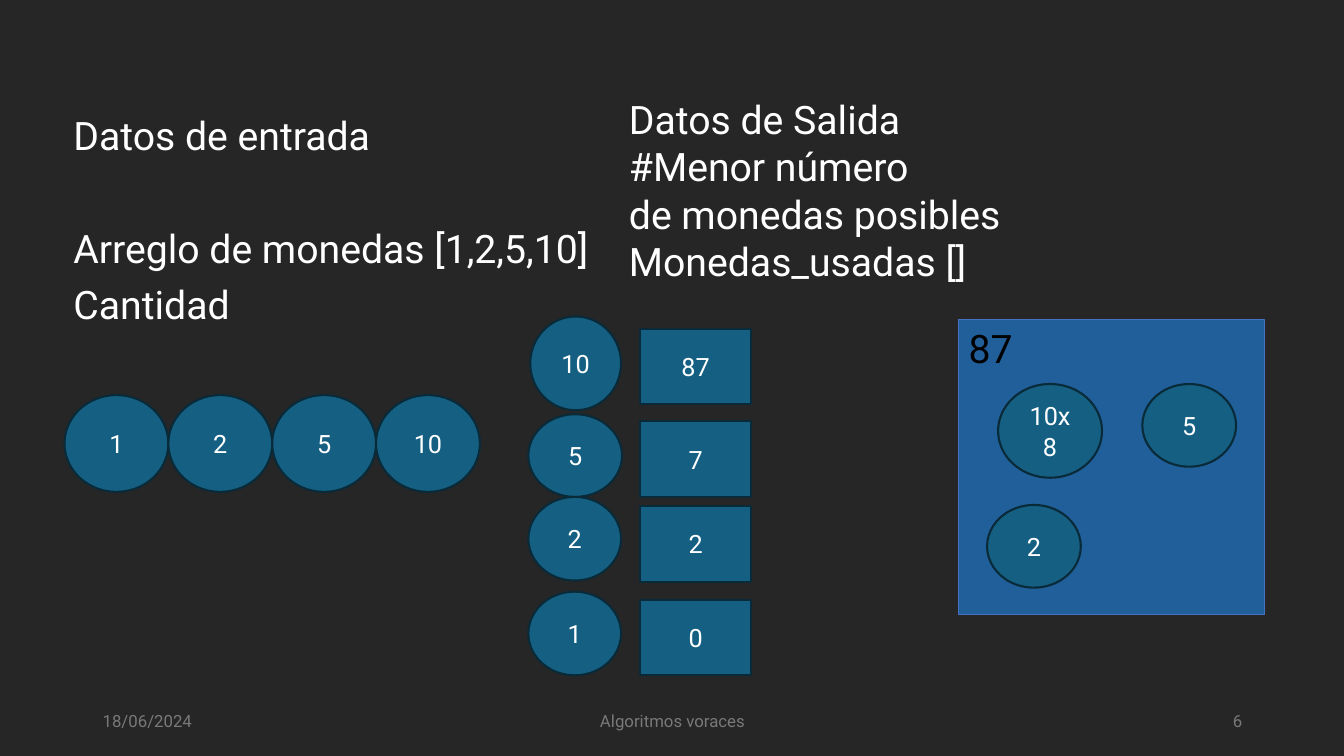
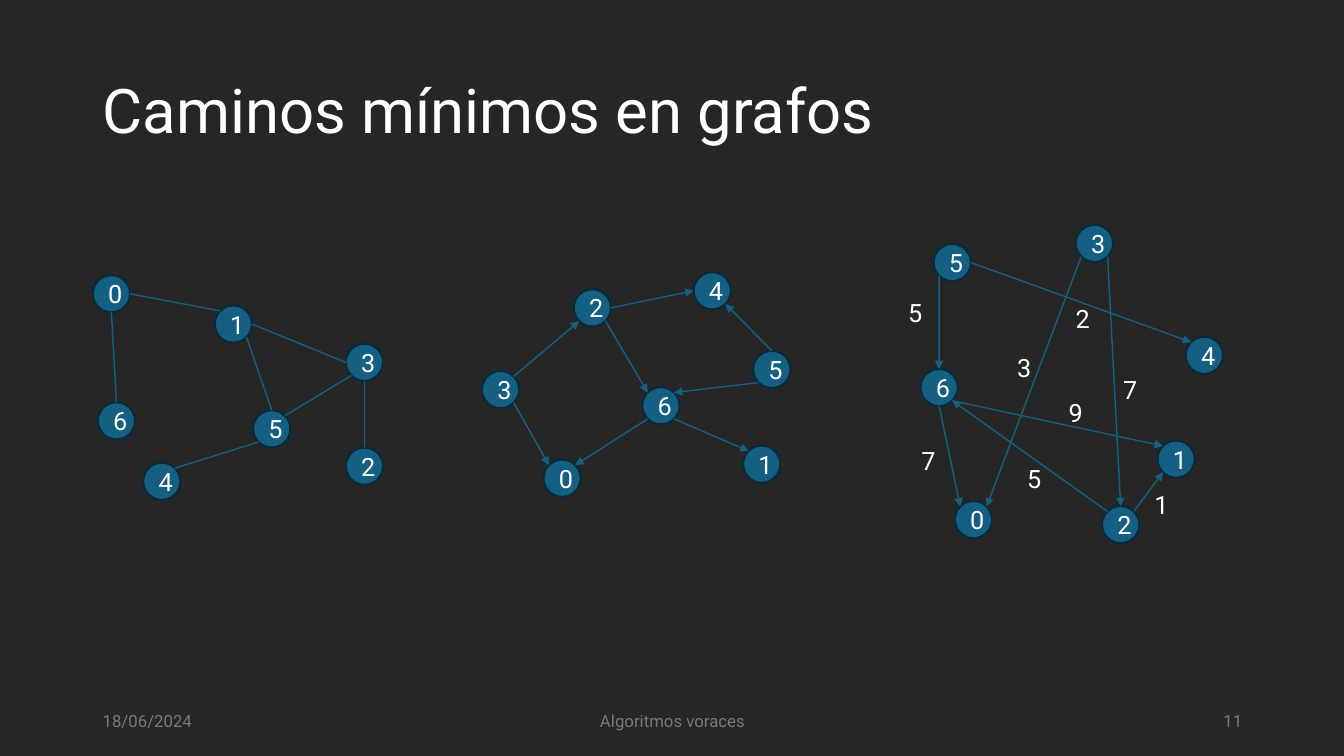
import math

from lxml import etree
from pptx import Presentation
from pptx.dml.color import RGBColor
from pptx.enum.shapes import MSO_CONNECTOR, MSO_SHAPE
from pptx.enum.text import MSO_ANCHOR, PP_ALIGN
from pptx.oxml.ns import qn
from pptx.util import Pt

OVAL, RECTANGLE = MSO_SHAPE.OVAL, MSO_SHAPE.RECTANGLE
STRAIGHT = MSO_CONNECTOR.STRAIGHT
TOP, MIDDLE = MSO_ANCHOR.TOP, MSO_ANCHOR.MIDDLE
LEFT, CENTER, RIGHT = PP_ALIGN.LEFT, PP_ALIGN.CENTER, PP_ALIGN.RIGHT

PX = 9144  # EMU per px, 100 px to the inch
FONT = "Roboto"
BACKGROUND, WHITE, BLACK, GRAY = "262626", "FFFFFF", "000000", "797979"
TEAL, DARK_TEAL, BLUE, BLUE_LINE = "156082", "092A39", "215F9A", "4472C4"

# Footer: text (None for the page number), left, width, alignment
FOOTER = [
    ("18/06/2024", 92, 300, LEFT),
    ("Algoritmos voraces", 442, 450, CENTER),
    (None, 942, 300, RIGHT),
]

# Coin change: paragraphs with the space before each in points
INPUT_TEXT = [
    ("Datos de entrada", 10),
    ("Arreglo de monedas [1,2,5,10]", 50),
    ("Cantidad", 10),
]
OUTPUT_TEXT = [
    "Datos de Salida",
    "#Menor número\vde monedas posibles",
    "Monedas_usadas []",
]
INPUT_COINS = ["1", "2", "5", "10"]
# coin, its box, remaining amount, top of the amount
STEPS = [
    ("10", (526, 314, 90, 93), "87", 326),
    ("5", (524, 411, 93, 82), "7", 418),
    ("2", (524, 493, 92, 83), "2", 502),
    ("1", (524, 587, 92, 83), "0", 595),
]
USED_COINS = [
    ("10x8", (990, 381, 103, 93)),
    ("5", (1133, 381, 93, 82)),
    ("2", (979, 501, 93, 82)),
]

# Graphs: nodes as name: (left, top); edges as "node side node side"
NODE = 37
SIDES = ["t", "tl", "l", "bl", "b", "br", "r", "tr"]  # counterclockwise from the top
GRAPHS = [
    {
        "directed": False,
        "nodes": {"0": (92, 273), "2": (343, 444), "1": (213, 303), "6": (97, 399),
                  "5": (251, 407), "4": (142, 459), "3": (343, 341)},
        "edges": ["0 b 6 t", "1 tl 0 r", "1 r 3 l", "1 br 5 t", "3 b 2 t",
                  "5 bl 4 tr", "5 tr 3 bl"],
        "weights": [],
    },
    {
        "directed": True,
        "nodes": {"0": (539, 456), "2": (569, 287), "1": (737, 442), "6": (637, 384),
                  "5": (747, 348), "4": (688, 270), "3": (478, 368)},
        "edges": ["3 tr 2 bl", "2 r 4 l", "2 br 6 tl", "5 bl 6 tr", "5 t 4 br",
                  "3 br 0 tl", "6 br 1 tl", "6 bl 0 tr"],
        "weights": [],
    },
    {
        "directed": True,
        "nodes": {"0": (947, 497), "2": (1093, 502), "1": (1148, 437), "6": (913, 366),
                  "5": (926, 242), "4": (1176, 334), "3": (1067, 223)},
        "edges": ["3 br 2 t", "2 tr 1 bl", "2 tl 6 br", "5 bl 6 t", "5 r 4 tl",
                  "3 bl 0 tr", "6 br 1 tl", "6 b 0 tl"],
        "weights": [("5", 891, 290), ("7", 904, 437), ("9", 1050, 389), ("3", 999, 345),
                    ("2", 1057, 296), ("7", 1104, 366), ("5", 1009, 455), ("1", 1135, 481)],
    },
]


def rgb(color):
    return RGBColor.from_string(color)


def emu(*lengths):
    return [round(length * PX) for length in lengths]


def write(shape, lines, size, color=WHITE, align=LEFT, anchor=TOP, wrap=True):
    """Fill a shape with one paragraph per line and return the paragraphs."""
    frame = shape.text_frame
    frame.word_wrap = wrap
    frame.vertical_anchor = anchor
    frame.text = "\n".join(lines)
    for paragraph in frame.paragraphs:
        paragraph.alignment = align
        paragraph.font.name = FONT
        paragraph.font.size = Pt(size)
        paragraph.font.color.rgb = rgb(color)
    return frame.paragraphs


def add_text(slide, box, lines, size, **style):
    return write(slide.shapes.add_textbox(*emu(*box)), lines, size, **style)


def add_block(slide, kind, box, fill=TEAL, line=DARK_TEAL, width=1.5):
    shape = slide.shapes.add_shape(kind, *emu(*box))
    shape.shadow.inherit = False
    shape.fill.solid()
    shape.fill.fore_color.rgb = rgb(fill)
    shape.line.color.rgb = rgb(line)
    shape.line.width = Pt(width)
    return shape


def add_label_block(slide, kind, box, text):
    shape = add_block(slide, kind, box)
    write(shape, [text], 18, align=CENTER, anchor=MIDDLE)
    return shape


def add_slide(presentation, number):
    slide = presentation.slides.add_slide(presentation.slide_layouts[6])
    for text, left, width, align in FOOTER:
        add_text(slide, (left, 695, width, 40), [text or str(number)], 12,
                 color=GRAY, align=align, anchor=MIDDLE)
    return slide


def side_point(position, side):
    """Point on a node's rim, in px."""
    angle = math.radians(90 + 45 * SIDES.index(side))
    radius = NODE / 2
    left, top = position
    return left + radius * (1 + math.cos(angle)), top + radius * (1 - math.sin(angle))


def add_edge(slide, nodes, shapes, edge, directed):
    start, start_side, end, end_side = edge.split()
    connector = slide.shapes.add_connector(
        STRAIGHT,
        *emu(*side_point(nodes[start], start_side), *side_point(nodes[end], end_side)))
    connector.line.color.rgb = rgb(TEAL)
    connector.line.width = Pt(1)
    properties = connector.element.spPr
    if directed:
        etree.SubElement(properties.find(qn("a:ln")), qn("a:tailEnd"), type="triangle")
    etree.SubElement(properties, qn("a:effectLst"))
    links = next(connector.element.iter(qn("p:cNvCxnSpPr")))
    for tag, name, side in (("a:stCxn", start, start_side), ("a:endCxn", end, end_side)):
        etree.SubElement(links, qn(tag), id=str(shapes[name].shape_id),
                         idx=str(SIDES.index(side)))


def add_graph(slide, graph):
    nodes = graph["nodes"]
    shapes = {name: add_label_block(slide, OVAL, (*position, NODE, NODE), name)
              for name, position in nodes.items()}
    for edge in graph["edges"]:
        add_edge(slide, nodes, shapes, edge, graph["directed"])
    for weight, left, top in graph["weights"]:
        add_text(slide, (left, top, 33, 40), [weight], 18, wrap=False)


def build_coins(presentation):
    slide = add_slide(presentation, 6)
    paragraphs = add_text(slide, (63, 111, 539, 297), [text for text, _ in INPUT_TEXT], 28)
    for paragraph, (_, space) in zip(paragraphs, INPUT_TEXT):
        paragraph.line_spacing = 0.9
        paragraph.space_before = Pt(space)
    add_text(slide, (614, 90, 673, 151), OUTPUT_TEXT, 28)

    for index, coin in enumerate(INPUT_COINS):
        add_label_block(slide, OVAL, (64 + 103 * index, 392, 103, 96), coin)
    for coin, coin_box, amount, top in STEPS:
        add_label_block(slide, OVAL, coin_box, coin)
        add_label_block(slide, RECTANGLE, (635, top, 110, 75), amount)

    panel = add_block(slide, RECTANGLE, (951, 317, 303, 293), BLUE, BLUE_LINE, 0.75)
    write(panel, ["87"], 28, color=BLACK)
    for coin, coin_box in USED_COINS:
        add_label_block(slide, OVAL, coin_box, coin)


def build_graphs(presentation):
    slide = add_slide(presentation, 11)
    title = add_text(slide, (92, 40, 1150, 145), ["Caminos mínimos en grafos"], 44,
                     anchor=MIDDLE)
    title[0].line_spacing = 0.9
    for graph in GRAPHS:
        add_graph(slide, graph)


def main():
    presentation = Presentation()
    presentation.slide_width, presentation.slide_height = emu(1333, 750)
    background = presentation.slide_master.background.fill
    background.solid()
    background.fore_color.rgb = rgb(BACKGROUND)
    build_coins(presentation)
    build_graphs(presentation)
    presentation.save("out.pptx")


if __name__ == "__main__":
    main()
